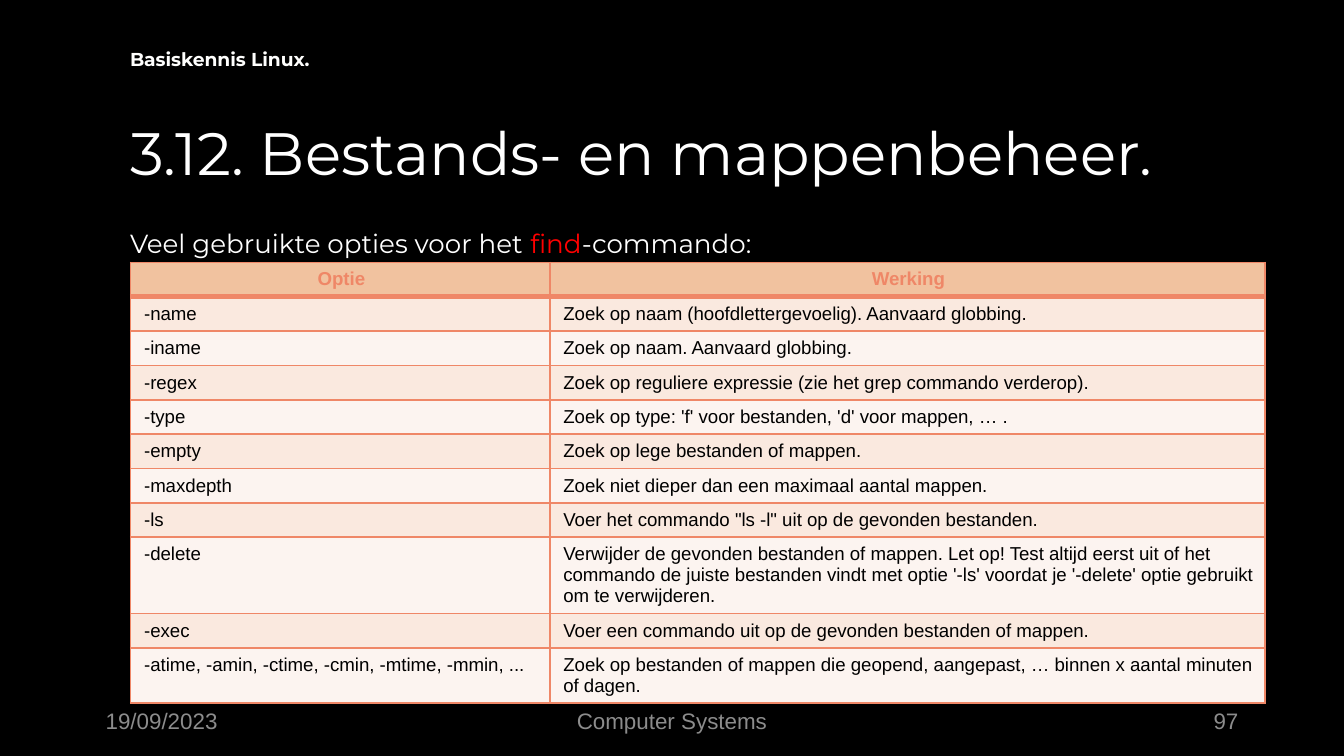
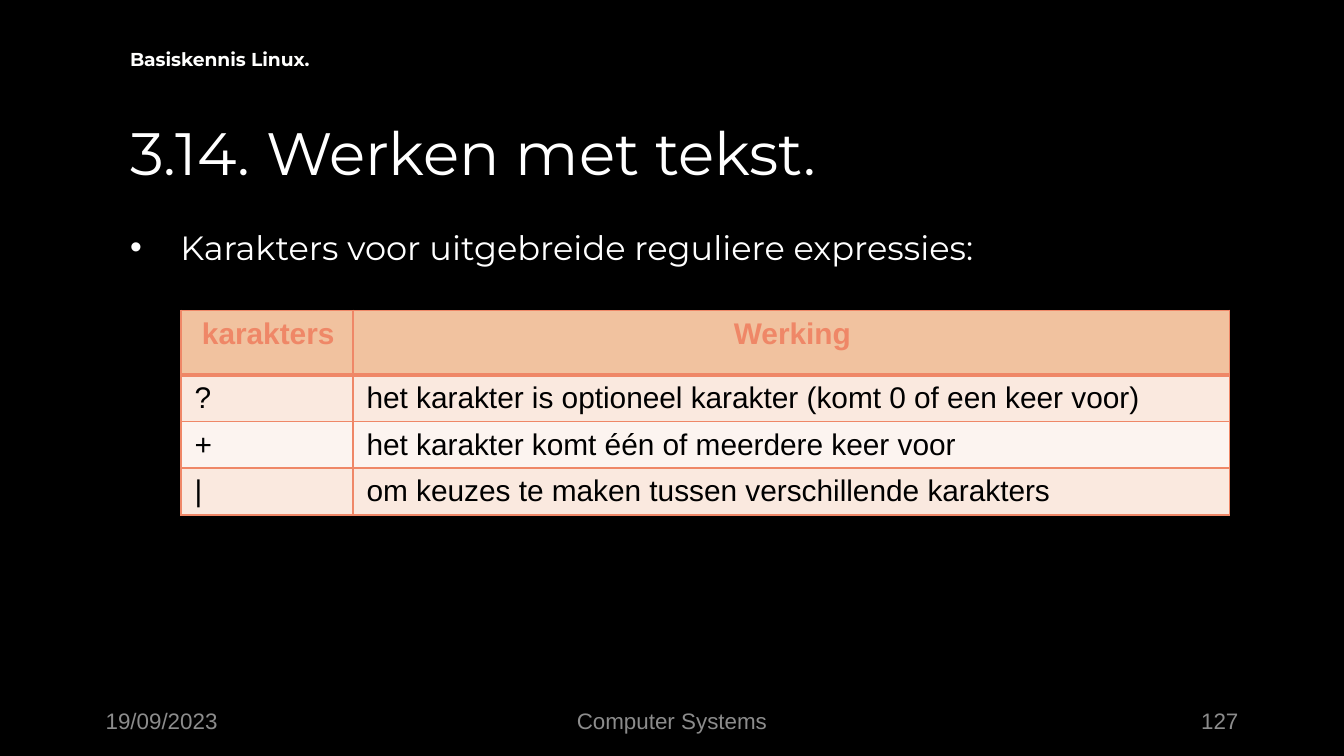
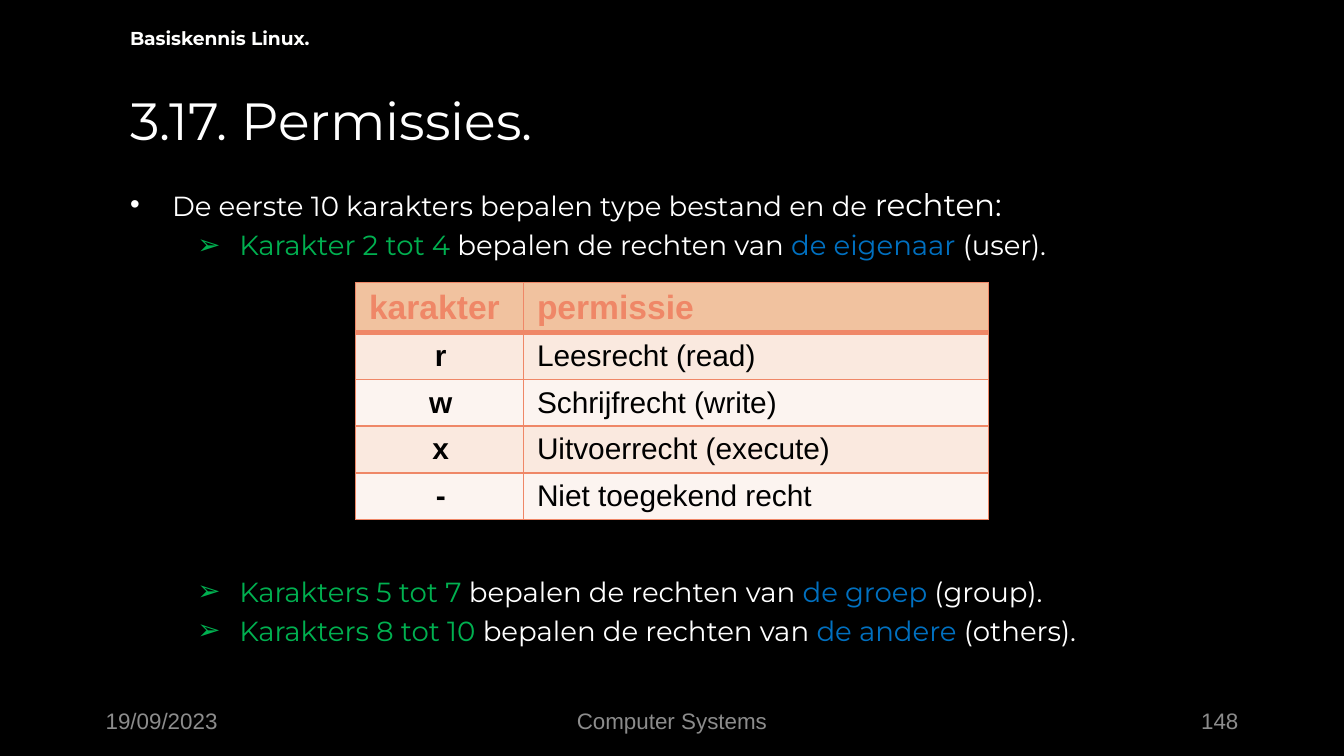
from dataclasses import dataclass

from lxml.etree import SubElement
from pptx import Presentation
from pptx.dml.color import RGBColor
from pptx.enum.text import MSO_ANCHOR, PP_ALIGN
from pptx.oxml.ns import qn
from pptx.util import Pt

# Shared look
BLACK, WHITE, GREY = "000000", "FFFFFF", "8C8C8C"
RED, GREEN, BLUE = "FF0000", "00B050", "0070C0"
CORAL, HEADER_FILL = "EF8767", "F1C29F"
BAND_FILLS = ("FAE9DF", "FCF4F0")
TEXT_FONT, TABLE_FONT = "Montserrat", "Arial"
LEFT, CENTER, RIGHT = PP_ALIGN.LEFT, PP_ALIGN.CENTER, PP_ALIGN.RIGHT
MARGIN_LEFT = 62.6


@dataclass
class Run:
    text: str
    size: float
    color: str = WHITE
    font: str = TEXT_FONT
    bold: bool = False


@dataclass
class Para:
    runs: list[Run]
    align: PP_ALIGN = LEFT
    bullet: str = ""
    indent: float = 0
    hanging: float = 0
    before: float = 0


@dataclass
class Box:
    left: float
    top: float
    width: float
    height: float
    anchor: MSO_ANCHOR = MSO_ANCHOR.TOP


@dataclass
class Grid:
    left: float
    top: float
    widths: list[float]
    heights: list[float]
    rows: list[tuple[str, str]]
    size: float
    header_size: float
    header_align: PP_ALIGN = CENTER
    key_column: bool = False  # bold, centred first column


@dataclass
class Page:
    number: int
    title: str
    title_size: float
    title_top: float
    chapter_top: float
    body: Box
    paras: list[Para]
    grid: Grid


def rgb(color: str) -> RGBColor:
    return RGBColor.from_string(color)


def add_run(p, run: Run) -> None:
    r = p.add_run()
    r.text = run.text
    r.font.size = Pt(run.size)
    r.font.name = run.font
    r.font.bold = run.bold
    r.font.color.rgb = rgb(run.color)


def add_text(s, box: Box, paras: list[Para]) -> None:
    sp = s.shapes.add_textbox(Pt(box.left), Pt(box.top), Pt(box.width), Pt(box.height))
    tf = sp.text_frame
    tf.word_wrap = True
    tf.vertical_anchor = box.anchor
    for i, para in enumerate(paras):
        p = tf.add_paragraph() if i else tf.paragraphs[0]
        if para.bullet:
            pPr = p._p.get_or_add_pPr()
            pPr.set("marL", str(Pt(para.indent)))
            pPr.set("indent", str(Pt(-para.hanging)))
            SubElement(pPr, qn("a:buFont"), typeface="Arial")
            SubElement(pPr, qn("a:buChar"), char=para.bullet)
        p.alignment = para.align
        if para.before:
            p.space_before = Pt(para.before)
        for run in para.runs:
            add_run(p, run)


def set_borders(cell, top: float, bottom: float) -> None:
    tcPr = cell._tc.get_or_add_tcPr()
    for side, width in (("L", 1), ("R", 1), ("T", top), ("B", bottom)):
        ln = SubElement(tcPr, qn(f"a:ln{side}"), w=str(Pt(width)))
        SubElement(SubElement(ln, qn("a:solidFill")), qn("a:srgbClr"), val=CORAL)


def add_grid(s, grid: Grid) -> None:
    frame = s.shapes.add_table(
        len(grid.rows), len(grid.widths), Pt(grid.left), Pt(grid.top),
        Pt(sum(grid.widths)), Pt(sum(grid.heights)))
    table = frame.table
    table.first_row = table.horz_banding = False
    for column, width in zip(table.columns, grid.widths):
        column.width = Pt(width)
    for y, (row, height) in enumerate(zip(grid.rows, grid.heights)):
        table.rows[y].height = Pt(height)
        header = y == 0
        for x, text in enumerate(row):
            key = grid.key_column and x == 0 and not header
            cell = table.cell(y, x)
            set_borders(cell, top=3 if y == 1 else 1, bottom=3 if header else 1)
            # Tight margins keep the rows at their set heights
            cell.margin_bottom = Pt(1.2)
            cell.margin_right = Pt(6)
            cell.fill.solid()
            cell.fill.fore_color.rgb = rgb(HEADER_FILL if header else BAND_FILLS[(y - 1) % 2])
            p = cell.text_frame.paragraphs[0]
            p.alignment = grid.header_align if header else CENTER if key else LEFT
            add_run(p, Run(text, grid.header_size if header else grid.size,
                           CORAL if header else BLACK, TABLE_FONT, header or key))


def add_footer(s, number: int) -> None:
    for left, width, text, align in (
        (49.5, 162, "19/09/2023", LEFT),
        (238.5, 243, "Computer Systems", CENTER),
        (508.5, 162, str(number), RIGHT),
    ):
        box = Box(left, 375.4, width, 21.6, MSO_ANCHOR.MIDDLE)
        add_text(s, box, [Para([Run(text, 12, GREY, TABLE_FONT)], align)])


def add_page(prs, page: Page) -> None:
    s = prs.slides.add_slide(prs.slide_layouts[6])
    s.background.fill.solid()
    s.background.fill.fore_color.rgb = rgb(BLACK)
    add_text(s, page.body, page.paras)
    add_text(s, Box(MARGIN_LEFT, page.title_top, 648, 48.2),
             [Para([Run(page.title, page.title_size)])])
    add_text(s, Box(MARGIN_LEFT, page.chapter_top, 324, 25.2),
             [Para([Run("Basiskennis Linux.", 10, "FFFFFE", bold=True)])])
    add_footer(s, page.number)
    add_grid(s, page.grid)


def rights(who: str, characters: str, suffix: str, before: float) -> Para:
    """Sub-item that tells whose rights some characters hold."""
    runs = [Run(characters, 14.8, GREEN), Run(" bepalen de rechten van ", 14.8),
            Run(who, 14.8, BLUE), Run(suffix, 14.8)]
    return Para(runs, bullet="➢", indent=58.5, hanging=22.5, before=before)


# Slide contents
FIND_OPTIONS = [
    ("Optie", "Werking"),
    ("-name", "Zoek op naam (hoofdlettergevoelig). Aanvaard globbing."),
    ("-iname", "Zoek op naam. Aanvaard globbing."),
    ("-regex", "Zoek op reguliere expressie (zie het grep commando verderop)."),
    ("-type", "Zoek op type: 'f' voor bestanden, 'd' voor mappen, … ."),
    ("-empty", "Zoek op lege bestanden of mappen."),
    ("-maxdepth", "Zoek niet dieper dan een maximaal aantal mappen."),
    ("-ls", "Voer het commando \"ls -l\" uit op de gevonden bestanden."),
    ("-delete", "Verwijder de gevonden bestanden of mappen. Let op! Test altijd eerst uit "
                "of het commando de juiste bestanden vindt met optie '-ls' voordat je "
                "'-delete' optie gebruikt om te verwijderen."),
    ("-exec", "Voer een commando uit op de gevonden bestanden of mappen."),
    ("-atime, -amin, -ctime, -cmin, -mtime, -mmin, ...",
     "Zoek op bestanden of mappen die geopend, aangepast, … binnen x aantal minuten "
     "of dagen."),
]
REGEX_CHARACTERS = [
    ("karakters", "Werking"),
    ("?", "het karakter is optioneel karakter (komt 0 of een keer voor)"),
    ("+", "het karakter komt één of meerdere keer voor"),
    ("|", "om keuzes te maken tussen verschillende karakters"),
]
PERMISSIONS = [
    ("karakter", "permissie"),
    ("r", "Leesrecht (read)"),
    ("w", "Schrijfrecht (write)"),
    ("x", "Uitvoerrecht (execute)"),
    ("-", "Niet toegekend recht"),
]
BODY = Box(MARGIN_LEFT, 118.1, 648, 246.2)

PAGES = [
    Page(97, "3.12. Bestands- en mappenbeheer.", 32, 58.3, 22.3, BODY,
         [Para([Run("Veel gebruikte opties voor het ", 14), Run("find", 14, RED),
                Run("-commando:", 14)])],
         Grid(70, 140.6, [224.6, 383], [18.4] * 8 + [41, 18.4, 29.5],
              FIND_OPTIONS, 10, 10)),
    Page(127, "3.14. Werken met tekst.", 32, 58.3, 22.3, BODY,
         [Para([Run("Karakters voor uitgebreide reguliere expressies:", 18)],
               bullet="•", indent=27, hanging=27)],
         Grid(97, 166.3, [92.2, 469.4], [34.6] + [25] * 3, REGEX_CHARACTERS, 16, 16)),
    Page(148, "3.17. Permissies.", 28, 43.9, 10.8, Box(MARGIN_LEFT, 95.8, 627, 246.2),
         [Para([Run("De eerste 10 karakters bepalen type bestand en de ", 14.8),
                Run("rechten:", 16.6)], bullet="•", indent=22.5, hanging=22.5),
          rights("de eigenaar ", "Karakter 2 tot 4", "(user).", 3),
          rights("de groep", "Karakters 5 tot 7", " (group).", 168),
          rights("de andere", "Karakters 8 tot 10", " (others).", 3)],
         Grid(190.5, 151.4, [90, 249.1], [27] + [25] * 4, PERMISSIONS, 16, 18,
              header_align=LEFT, key_column=True)),
]


def main() -> None:
    prs = Presentation()
    prs.slide_width, prs.slide_height = Pt(720), Pt(405)
    for page in PAGES:
        add_page(prs, page)
    prs.save("out.pptx")


if __name__ == "__main__":
    main()
